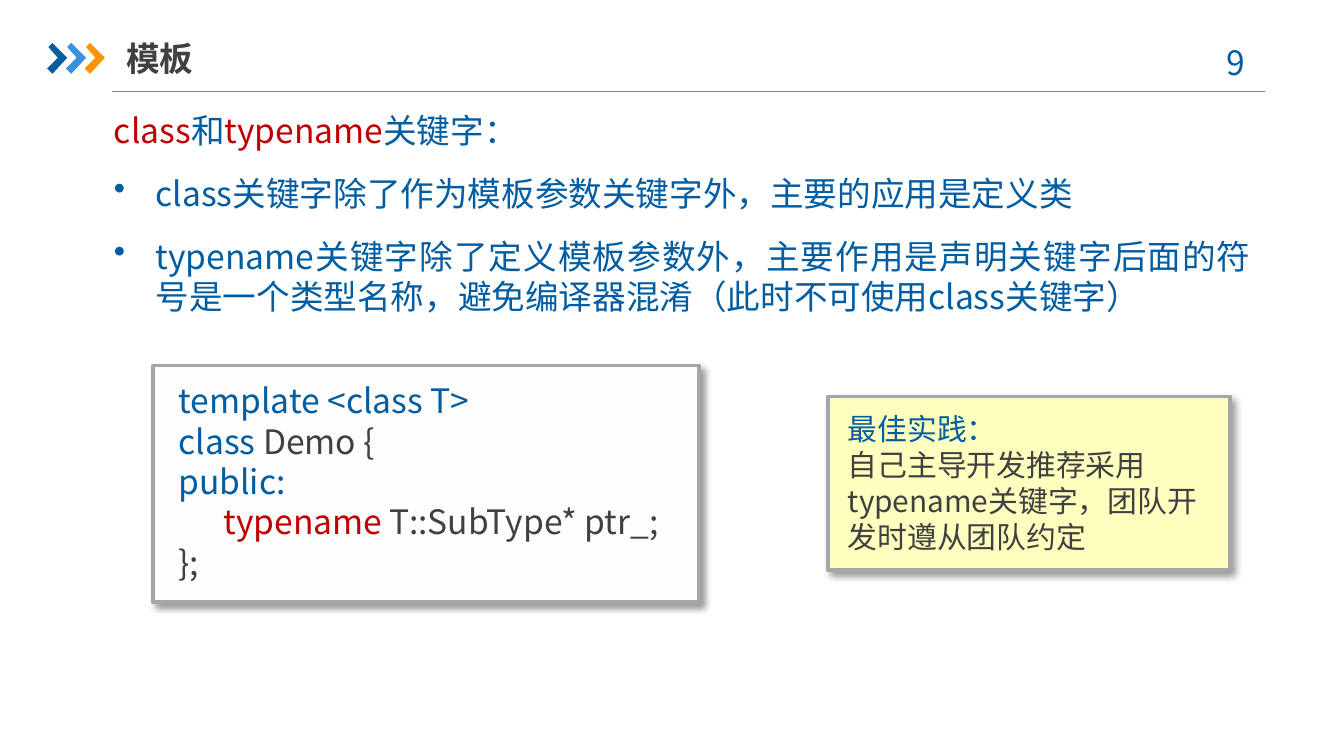
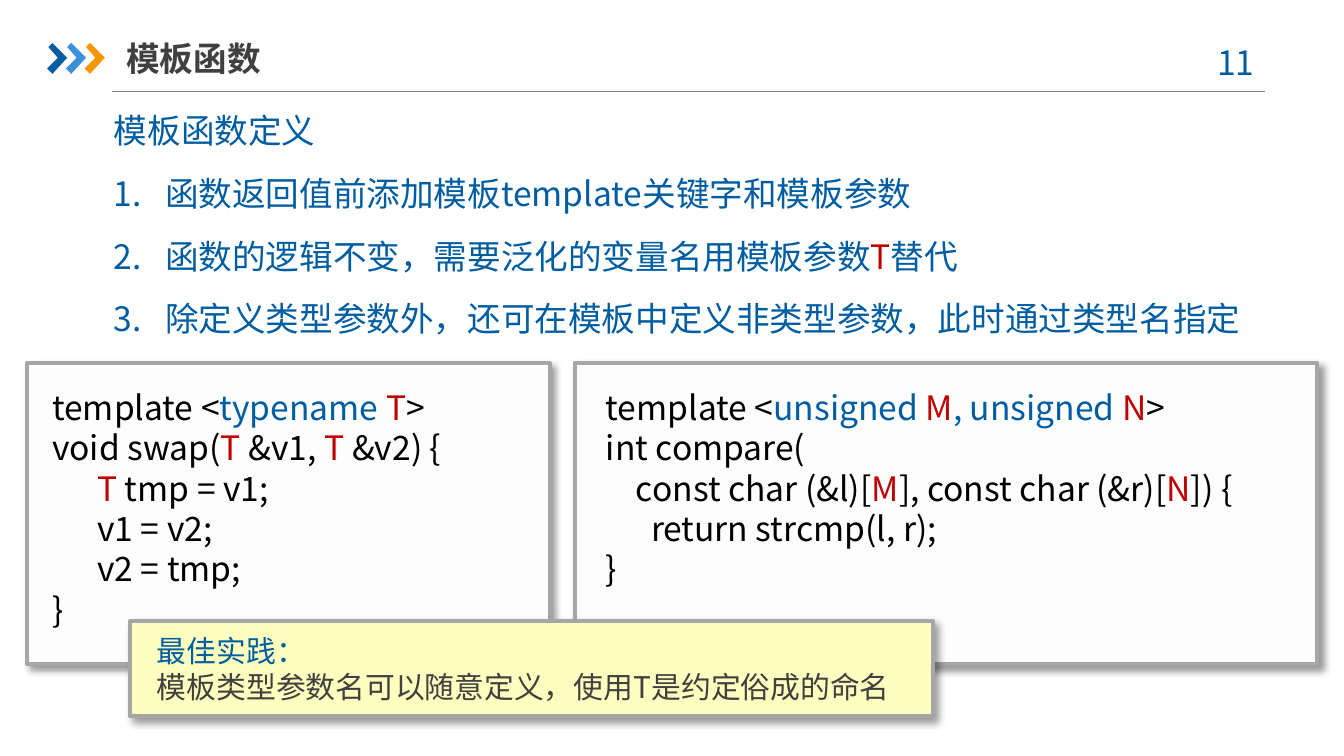
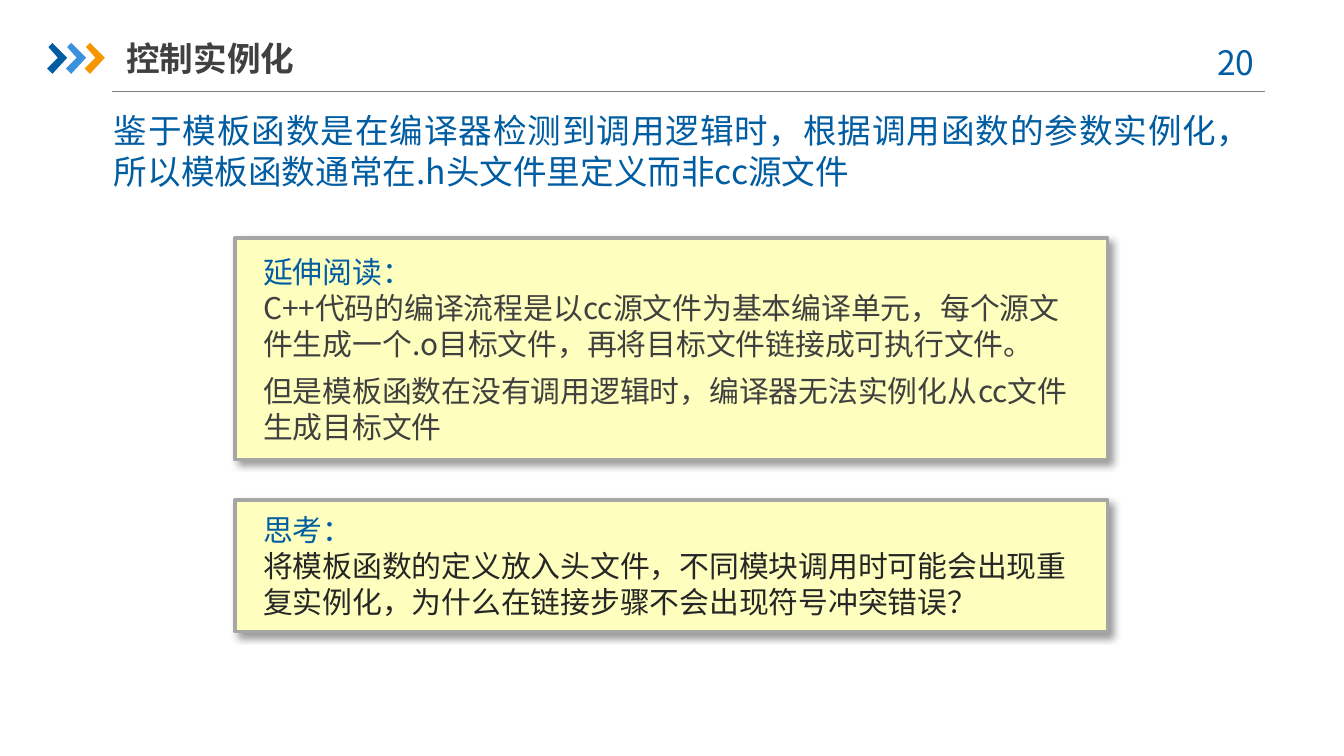
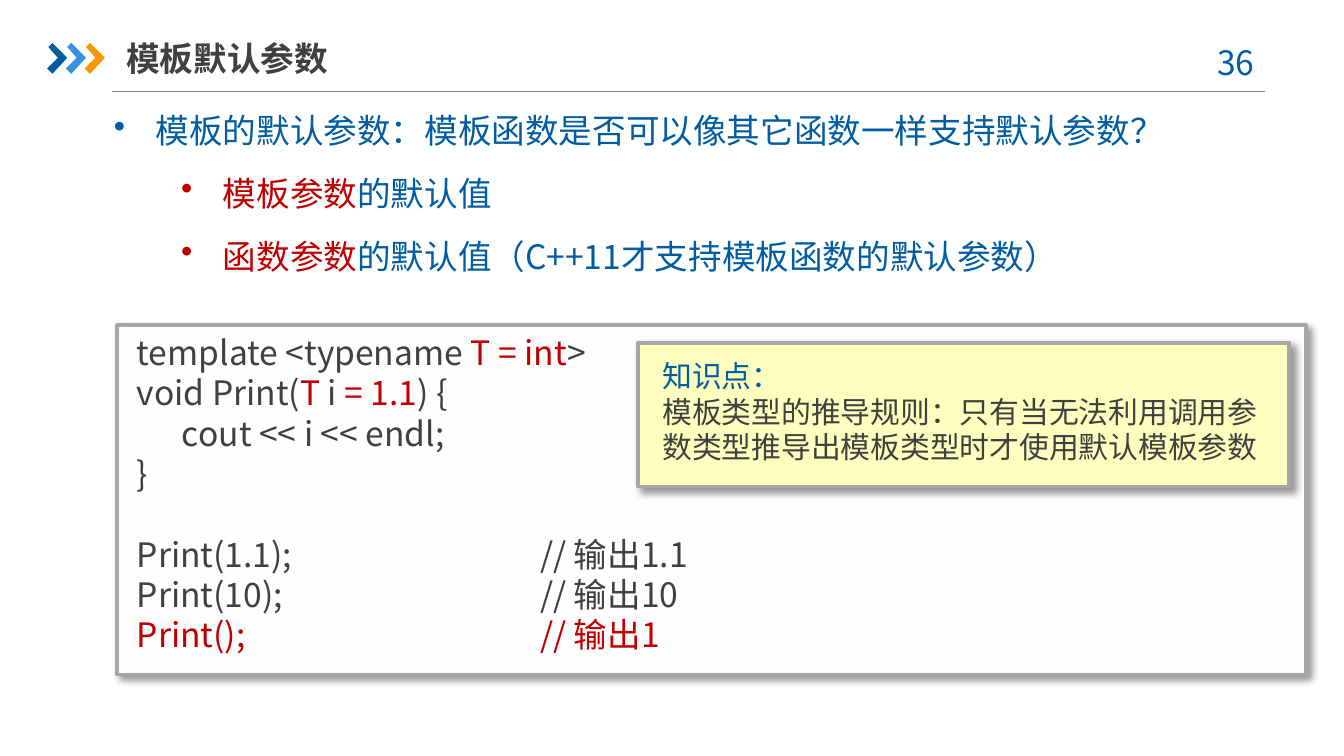
from dataclasses import dataclass

import lxml.etree
import pptx
import pptx.dml.color
import pptx.enum.shapes
import pptx.enum.text
import pptx.oxml.ns
import pptx.util

Inches = pptx.util.Inches
Pt = pptx.util.Pt
qn = pptx.oxml.ns.qn
ALIGN = pptx.enum.text.PP_ALIGN
ANCHOR = pptx.enum.text.MSO_ANCHOR
AUTO_SIZE = pptx.enum.text.MSO_AUTO_SIZE

FONT = "Noto Sans CJK SC"
COLORS = {
    "blue": "005DA2",
    "sky": "3992DB",
    "orange": "F79600",
    "red": "C00000",
    "gray": "404040",
    "dark": "262626",
    "black": "000000",
    "rule": "808080",
    "border": "A6A6A6",
    "code": "FDFDFD",
    "note": "FEFFBE",
}
LINE_HEIGHT = 21.7  # one line of 18 pt code, in points


@dataclass
class Para:
    """Runs are (text, colour) pairs; the text "\\n" is a line break."""
    runs: list
    size: int = 18
    bold: bool = False
    align: object = ALIGN.LEFT
    before: float = 0
    after: float = 0
    bullet: str = ""
    indent: float = 0
    hang: float = 0
    level: int = 0
    tab: float = 0


# ---- text ----
def rgb(name):
    return pptx.dml.color.RGBColor.from_string(COLORS[name])


def sub(parent, tag, **attributes):
    return lxml.etree.SubElement(parent, qn(tag), attributes)


def add_list_format(props, para):
    if para.bullet:
        props.set("marL", str(Inches(para.indent)))
        props.set("indent", str(-Inches(para.hang)))
        if para.bullet == "1.":
            sub(props, "a:buAutoNum", type="arabicPeriod")
        else:
            sub(props, "a:buChar", char=para.bullet)
    if para.tab:
        tabs = sub(props, "a:tabLst")
        sub(tabs, "a:tab", pos=str(Inches(para.tab)), algn="l")


def fill_paragraph(paragraph, para):
    paragraph.alignment = para.align
    paragraph.level = para.level
    if para.before:
        paragraph.space_before = Pt(para.before)
    if para.after:
        paragraph.space_after = Pt(para.after)
    props = paragraph._p.get_or_add_pPr()
    add_list_format(props, para)

    main_color = para.runs[0][1]
    font = paragraph.font
    font.name, font.size, font.bold = FONT, Pt(para.size), para.bold
    font.color.rgb = rgb(main_color)
    sub(props.find(qn("a:defRPr")), "a:ea", typeface=FONT)

    for text, color in para.runs:
        if text == "\n":
            paragraph.add_line_break()
            continue
        run = paragraph.add_run()
        run.text = text
        if color != main_color:
            run.font.color.rgb = rgb(color)


def fill_frame(frame, paras):
    frame.word_wrap = True
    frame.auto_size = AUTO_SIZE.SHAPE_TO_FIT_TEXT
    frame.vertical_anchor = ANCHOR.TOP
    for i, para in enumerate(paras):
        fill_paragraph(frame.add_paragraph() if i else frame.paragraphs[0], para)
    return frame


def add_text(shapes, box, paras):
    return fill_frame(shapes.add_textbox(*map(Inches, box)).text_frame, paras)


def bullet(*runs, mark="•"):
    width = 0.38 if mark == "1." else 0.31
    return Para(list(runs), align=ALIGN.JUSTIFY, after=12, bullet=mark,
                indent=width, hang=width)


def sub_bullet(*runs):
    para = bullet(*runs)
    para.level, para.indent = 1, 0.81
    return para


def lead(*runs):
    return Para(list(runs), align=ALIGN.JUSTIFY, after=12)


def code(*runs, **options):
    return Para(list(runs), **options)


# ---- shared header ----
def add_header(slide, title, page):
    rule = slide.shapes.add_connector(
        pptx.enum.shapes.MSO_CONNECTOR.STRAIGHT,
        Inches(0.83), Inches(0.68), Inches(9.41), Inches(0.68))
    rule.line.color.rgb = rgb("rule")
    rule.line.width = Pt(0.75)
    sub(rule._element.spPr, "a:effectLst")

    chevrons = slide.shapes.add_group_shape()
    for i, color in enumerate(("blue", "sky", "orange")):
        left = 35 + 14 * i  # hundredths of an inch
        builder = chevrons.shapes.build_freeform(left + 1, 35, Inches(0.01))
        builder.add_line_segments([(left + x, y) for x, y in (
            (4, 32), (15, 43), (4, 55), (0, 51), (8, 43))])
        chevron = builder.convert_to_shape()
        chevron.shadow.inherit = False
        chevron.fill.solid()
        chevron.fill.fore_color.rgb = rgb(color)
        chevron.line.fill.background()

    add_text(slide.shapes, (8.86, 0.26, 0.73, 0.4),
             [Para([(f"{page} ", "blue")], align=ALIGN.CENTER)])
    heading = add_text(slide.shapes, (0.94, 0.22, 2.57, 0.42),
                       [Para([(title, "gray")], bold=True)])
    heading.auto_size = AUTO_SIZE.NONE
    heading.vertical_anchor = ANCHOR.MIDDLE
    heading.margin_left = heading.margin_right = 0


def add_body(slide, height, paras):
    add_text(slide.shapes, (0.75, 0.77, 8.66, height), paras)


# ---- framed panels ----
def add_rectangle(shapes, box, fill):
    rectangle = shapes.add_shape(
        pptx.enum.shapes.MSO_SHAPE.RECTANGLE, *map(Inches, box))
    rectangle.fill.solid()
    rectangle.fill.fore_color.rgb = rgb(fill)
    rectangle.line.fill.background()
    rectangle.shadow.inherit = False
    return rectangle


def add_panel(slide, fill, box):
    panel = slide.shapes.add_group_shape()
    frame = add_rectangle(panel.shapes, box, fill)
    frame.line.color.rgb = rgb("border")
    frame.line.width = Pt(2)
    effects = frame._element.spPr.find(qn("a:effectLst"))
    shadow = sub(effects, "a:outerShdw", blurRad=str(Pt(4)), dist=str(Pt(3)),
                 dir=str(45 * 60000), algn="tl", rotWithShape="0")
    shadow_color = sub(shadow, "a:srgbClr", val=COLORS["black"])
    sub(shadow_color, "a:alpha", val="40000")
    return panel


def add_code(slide, box, text_box, paras):
    panel = add_panel(slide, "code", box)
    add_text(panel.shapes, text_box, paras)


def add_note(slide, box, text_box, label, *texts, color="gray"):
    paras = [Para([(text, color)], size=16, after=6) for text in texts]
    paras[0].runs = [(label, "blue"), ("\n", "blue")] + paras[0].runs
    panel = add_panel(slide, "note", box)
    fill_frame(add_rectangle(panel.shapes, text_box, "note").text_frame, paras)


# ---- slides ----
def build_keywords(slide):
    add_header(slide, "模板", 9)
    add_body(slide, 1.65, [
        lead(("class", "red"), ("和", "blue"), ("typename", "red"),
             ("关键字：", "blue")),
        bullet(("class关键字除了作为模板参数关键字外，主要的应用是定义类", "blue")),
        bullet(("typename关键字除了定义模板参数外，主要作用是声明关键字后面的"
                "符号是一个类型名称，避免编译器混淆（此时不可使用class关键字）",
                "blue")),
    ])
    add_code(slide, (1.14, 2.72, 4.06, 1.76), (1.23, 2.78, 3.9, 1.62), [
        code(("template <class T>", "blue")),
        code(("class ", "blue"), ("Demo {", "gray")),
        code(("public:", "blue")),
        code(("      ", "gray"), ("typename ", "red"),
             ("T::SubType* ptr_;", "gray")),
        code(("};", "gray")),
    ])
    add_note(slide, (6.16, 2.95, 2.99, 1.29), (6.21, 3.01, 2.89, 1.18),
             "最佳实践：",
             "自己主导开发推荐采用typename关键字，团队开发时遵从团队约定")


def build_functions(slide):
    add_header(slide, "模板函数", 11)
    add_body(slide, 1.82, [
        lead(("模板函数定义", "blue")),
        bullet(("函数返回值前添加模板template关键字和模板参数", "blue"), mark="1."),
        bullet(("函数的逻辑不变，需要泛化的变量名用模板参数", "blue"),
               ("T", "red"), ("替代", "blue"), mark="1."),
        bullet(("除定义类型参数外，还可在模板中定义非类型参数，此时通过类型名指定",
                "blue"), mark="1."),
    ])
    add_code(slide, (0.2, 2.7, 3.89, 2.24), (0.29, 2.83, 3.66, 1.92), [
        code(("template <", "black"), ("typename ", "blue"), ("T", "red"),
             (">", "black")),
        code(("void swap(", "black"), ("T", "red"), (" &v1, ", "black"),
             ("T", "red"), (" &v2) {", "black")),
        code(("      ", "black"), ("T ", "red"), ("tmp = v1;", "black")),
        code(("      v1 = v2;", "black")),
        code(("      v2 = tmp;", "black")),
        code(("}", "black")),
    ])
    add_code(slide, (4.28, 2.7, 5.52, 2.24), (4.41, 2.83, 5.3, 1.62), [
        code(("template <", "black"), ("unsigned ", "blue"), ("M", "red"),
             (", unsigned ", "blue"), ("N", "red"), (">", "black")),
        code(("int compare(", "black")),
        code(("    const char (&l)[", "black"), ("M", "red"),
             ("], const char (&r)[", "black"), ("N", "red"), ("]) {", "black")),
        code(("      return strcmp(l, r);", "black")),
        code(("}", "black")),
    ])
    add_note(slide, (0.97, 4.62, 5.97, 0.71), (1.07, 4.66, 5.77, 0.45),
             "最佳实践： ", "模板类型参数名可以随意定义，使用T是约定俗成的命名")


def build_instantiation(slide):
    add_header(slide, "控制实例化", 20)
    add_body(slide, 0.71, [
        lead(("鉴于模板函数是在编译器检测到调用逻辑时，根据调用函数的参数实例化，"
              "所以模板函数通常在.h头文件里定义而非cc源文件", "blue")),
    ])
    add_note(slide, (1.75, 1.77, 6.49, 1.65), (1.86, 1.84, 6.27, 1.53),
             "延伸阅读：",
             "C++代码的编译流程是以cc源文件为基本编译单元，每个源文件生成一个.o"
             "目标文件，再将目标文件链接成可执行文件。",
             "但是模板函数在没有调用逻辑时，编译器无法实例化从cc文件生成目标文件")
    add_note(slide, (1.75, 3.72, 6.49, 0.98), (1.86, 3.76, 6.27, 0.91),
             "思考：",
             "将模板函数的定义放入头文件，不同模块调用时可能会出现重复实例化，"
             "为什么在链接步骤不会出现符号冲突错误？", color="dark")


def build_defaults(slide):
    add_header(slide, "模板默认参数", 36)
    add_body(slide, 1.35, [
        bullet(("模板的默认参数：模板函数是否可以像其它函数一样支持默认参数？",
                "blue")),
        sub_bullet(("模板参数", "red"), ("的默认值", "blue")),
        sub_bullet(("函数参数", "red"),
                   ("的默认值（C++11才支持模板函数的默认参数）", "blue")),
    ])
    add_code(slide, (0.87, 2.42, 8.85, 2.6), (0.92, 2.42, 8.53, 2.31), [
        code(("template <typename ", "gray"), ("T = int", "red"), (">", "gray")),
        code(("void Print(", "gray"), ("T", "red"), (" i ", "gray"),
             ("= 1.1", "red"), (") {", "gray")),
        code(("      cout << i << endl;", "gray")),
        code(("}", "gray")),
        code(("Print(1.1);\t// 输出1.1", "gray"), before=LINE_HEIGHT, tab=3),
        code(("Print(10);\t// 输出10", "gray"), tab=3),
        code(("Print();\t// 输出1", "red"), tab=3),
    ])
    add_note(slide, (4.75, 2.55, 4.84, 1.07), (4.83, 2.61, 4.68, 0.91),
             "知识点：",
             "模板类型的推导规则：只有当无法利用调用参数类型推导出模板类型时"
             "才使用默认模板参数")


def main():
    deck = pptx.Presentation()
    deck.slide_width = Inches(10)
    deck.slide_height = deck.slide_width * 9 // 16
    blank = deck.slide_layouts[6]
    for build in (build_keywords, build_functions, build_instantiation,
                  build_defaults):
        build(deck.slides.add_slide(blank))
    deck.save("out.pptx")


if __name__ == "__main__":
    main()
